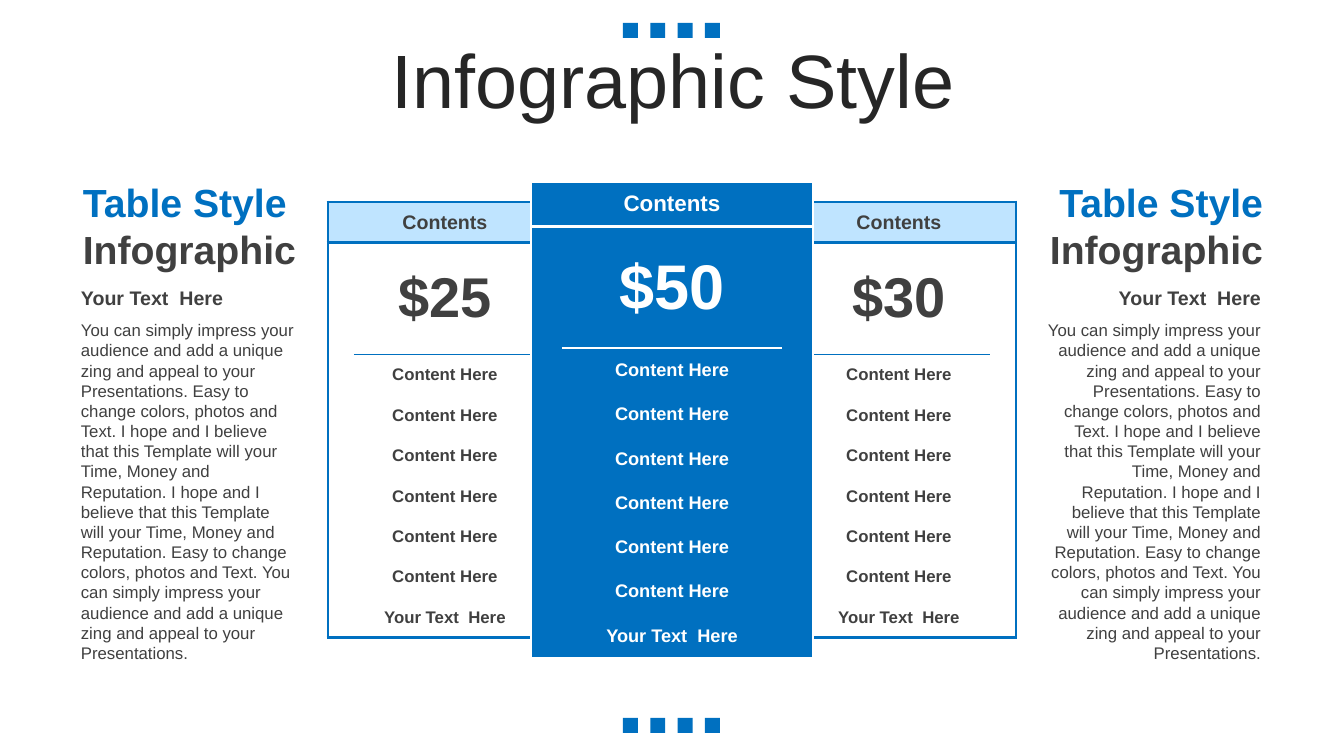
from lxml import etree
from pptx import Presentation
from pptx.dml.color import RGBColor
from pptx.enum.shapes import MSO_SHAPE as SHAPE
from pptx.enum.text import MSO_ANCHOR as ANCHOR, MSO_AUTO_SIZE as AUTO, PP_ALIGN as ALIGN
from pptx.oxml.ns import qn
from pptx.util import Pt

PX = 914400 / 100.8
BLUE, PALE, WHITE = "0070C0", "BFE4FF", "FFFFFF"
GREY, BLACK = "404040", "262626"
FEATURES = ["Content Here"] * 6
BODY = (
    "You can simply impress your audience and add a unique zing and appeal to your "
    "Presentations. Easy to change colors, photos and Text. I hope and I believe that "
    "this Template will your Time, Money and Reputation. I hope and I believe that this "
    "Template will your Time, Money and Reputation. Easy to change colors, photos and "
    "Text. You can simply impress your audience and add a unique zing and appeal to "
    "your Presentations."
)


def px(n):
    return round(n * PX)


def rgb(color):
    return RGBColor.from_string(color)


def add_run(p, text, size, color, bold=False, align=ALIGN.LEFT):
    p.alignment = align
    r = p.add_run()
    r.text = text
    r.font.name = "Arial"
    r.font.size = Pt(size)
    r.font.bold = bold
    r.font.color.rgb = rgb(color)


def add_text(slide, box, lines, size, bold=False, align=ALIGN.LEFT):
    """Text box with one paragraph for each (text, color) line."""
    tf = slide.shapes.add_textbox(*map(px, box)).text_frame
    tf.word_wrap = True
    for i, (text, color) in enumerate(lines):
        p = tf.add_paragraph() if i else tf.paragraphs[0]
        add_run(p, text, size, color, bold, align)
    return tf


def set_borders(cell, color, widths):
    """Draw the sides named in widths (points); clear the others."""
    tc_pr = cell._tc.get_or_add_tcPr()
    for side in "LRTB":
        width = widths.get(side, 0)
        ln = etree.SubElement(tc_pr, qn(f"a:ln{side}"), w=str(Pt(width)))
        if width:
            fill = etree.SubElement(ln, qn("a:solidFill"))
            etree.SubElement(fill, qn("a:srgbClr"), val=color)
        else:
            etree.SubElement(ln, qn("a:noFill"))


# Row of four squares
def dots(slide, x, y, w, h):
    for i in range(4):
        sp = slide.shapes.add_shape(
            SHAPE.RECTANGLE, px(x + i * (w - h) / 3), px(y), px(h), px(h))
        sp.shadow.inherit = False
        sp.fill.solid()
        sp.fill.fore_color.rgb = rgb(BLUE)
        sp.line.fill.background()


def title(slide, *box):
    tf = add_text(slide, box, [("Infographic Style", BLACK)], 54, align=ALIGN.CENTER)
    tf.vertical_anchor = ANCHOR.MIDDLE
    tf.paragraphs[0].line_spacing = 0.9
    tf.paragraphs[0].space_before = Pt(10)


# Heading, label and body text beside the price tables
def side_column(slide, x, y, w, h, align):
    heading = [("Table Style", BLUE), ("Infographic", GREY)]
    parts = [
        ((x + 2, y, w, 105), heading, 28, True),
        ((x, y + 108, w, 34), [("Your Text  Here", GREY)], 14, True),
        ((x, y + 142, w, h - 142), [(BODY, GREY)], 12, False),
    ]
    for box, lines, size, bold in parts:
        tf = add_text(slide, box, lines, size, bold, align)
        tf.auto_size = AUTO.SHAPE_TO_FIT_TEXT


# One plan: header, price, features and a closing line
def price_table(slide, x, y, w, h, price, featured=False):
    if featured:
        sizes, price_h, gutter, pad = (16, 45, 13), 122, 31, (9, 5)
        head, fill, ink, line, edge = BLUE, BLUE, WHITE, WHITE, 1.5
    else:
        sizes, price_h, gutter, pad = (14, 40, 12), 112, 26, (8, 4)
        head, fill, ink, line, edge = PALE, WHITE, GREY, BLUE, 2.25
    texts = ["Contents", price, *FEATURES, "Your Text  Here"]
    last = len(texts) - 1
    table = slide.shapes.add_table(len(texts), 3, *map(px, (x, y, w, h))).table
    table.first_row = table.horz_banding = False
    for col, width in zip(table.columns, (gutter, w - 2 * gutter, gutter)):
        col.width = px(width)

    for i, text in enumerate(texts):
        table.rows[i].height = px(price_h if i == 1 else (h - price_h) / last)
        merged = i in (0, 1, last)
        # Horizontal rules of this row
        rules = {0: {"T": edge, "B": 2.25}, 1: {"T": 2.25}, last: {"B": edge}}.get(i, {})
        for j in range(3):
            cell = table.cell(i, j)
            widths = dict(rules)
            if j == 0:
                widths["L"] = edge
            if j == 2 or (merged and j == 0):
                widths["R"] = edge
            if j == 1 and i in (1, 2):
                widths["B" if i == 1 else "T"] = 1.5
            set_borders(cell, line, widths)
            cell.fill.solid()
            cell.fill.fore_color.rgb = rgb(head if i == 0 else fill)
            cell.margin_left = cell.margin_right = px(pad[0])
            cell.margin_top = cell.margin_bottom = px(pad[1])
            cell.vertical_anchor = ANCHOR.MIDDLE
        if merged:
            table.cell(i, 0).merge(table.cell(i, 2))
        target = table.cell(i, 0 if merged else 1)
        add_run(target.text_frame.paragraphs[0], text, sizes[min(i, 2)], ink,
                True, ALIGN.CENTER)


def main():
    prs = Presentation()
    prs.slide_width, prs.slide_height = px(1344), px(756)
    slide = prs.slides.add_slide(prs.slide_layouts[6])

    for y in (23, 718):
        dots(slide, 623, y, 97, 15)
    title(slide, 35, 44, 1276, 80)

    # Outer plans first, so the featured one overlaps both
    price_table(slide, 782, 202, 234, 436, "$30")
    price_table(slide, 328, 202, 234, 436, "$25")
    price_table(slide, 531, 182, 282, 476, "$50", featured=True)

    side_column(slide, 71, 173, 234, 498, ALIGN.LEFT)
    side_column(slide, 1037, 173, 234, 498, ALIGN.RIGHT)
    prs.save("out.pptx")


if __name__ == "__main__":
    main()
